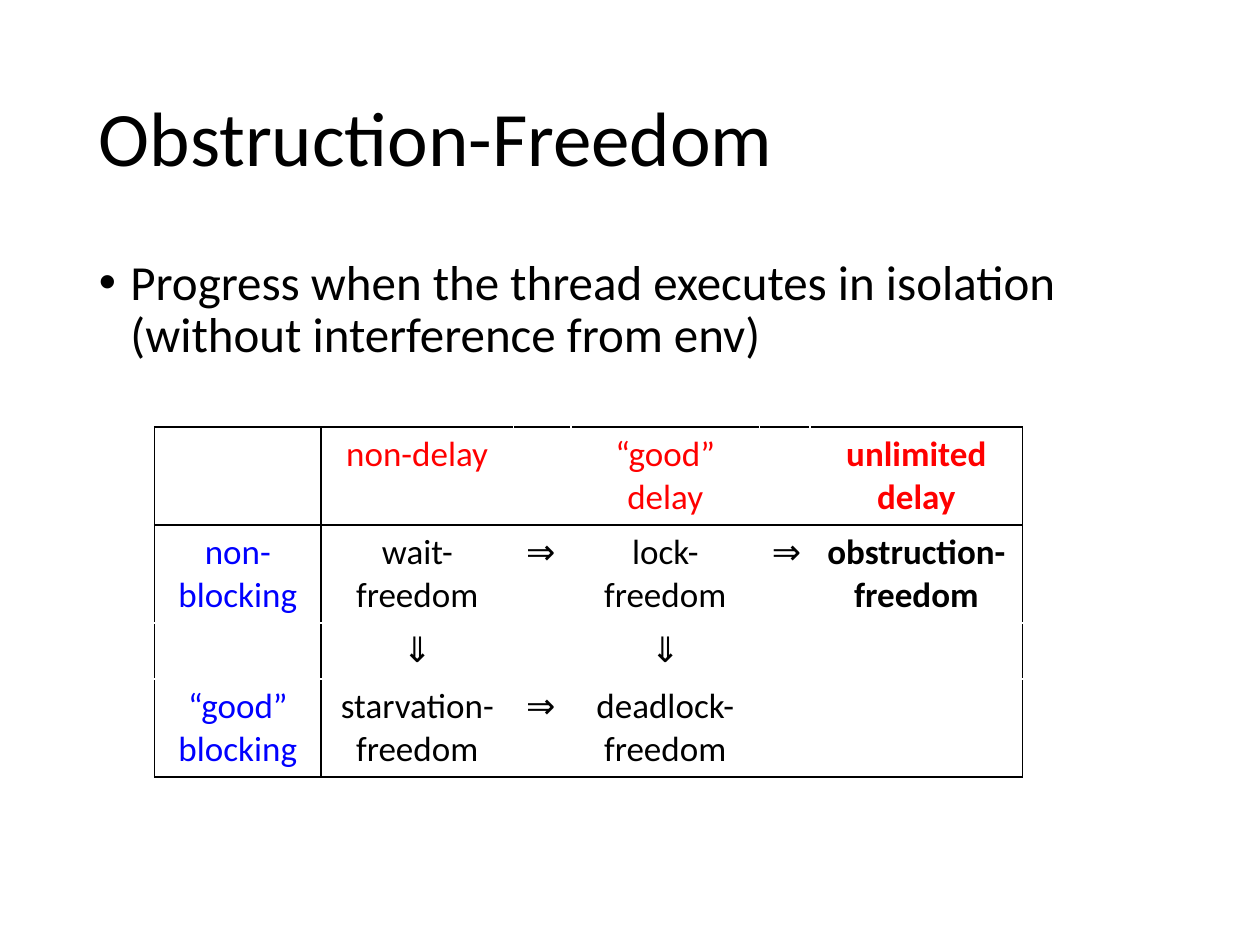
from pptx import Presentation
from pptx.dml.color import RGBColor as RGB
from pptx.enum.text import MSO_ANCHOR as ANCHOR, PP_ALIGN as ALIGN
from pptx.oxml.ns import qn
from pptx.util import Pt
from lxml.etree import SubElement

COLORS = {"text": "000000", "column": "FF0000", "row": "0000FF", "blank": "FFFFFF"}

COL_WIDTHS = [95, 110, 33, 107.5, 29, 121.5]
ROW_HEIGHTS = [56, 56, 32, 56]
RULED = {0, 1}
BOLD = {"unlimited delay", "obstruction-freedom"}
CELLS = [
    ["", "non-delay", "", "“good” delay", "", "unlimited delay"],
    ["non-blocking", "wait-freedom", "⇒", "lock-freedom", "⇒", "obstruction-freedom"],
    ["", "⇓", "", "⇓", "", ""],
    ["“good” blocking", "starvation-freedom", "⇒", "deadlock-freedom", "", ""],
]


class Deck:
    def __init__(self, prs, font):
        self.font = font
        self.s = prs.slides.add_slide(prs.slide_layouts[6])

    def run(self, p, text, size, color="text", bold=False):
        r = p.add_run()
        r.text = text
        r.font.name = self.font
        r.font.size = Pt(size)
        r.font.bold = bold
        r.font.color.rgb = RGB.from_string(COLORS[color])

    def text(self, x, y, w, h, text, size, anchor=ANCHOR.TOP):
        tf = self.s.shapes.add_textbox(Pt(x), Pt(y), Pt(w), Pt(h)).text_frame
        tf.word_wrap = True
        tf.vertical_anchor = anchor
        p = tf.paragraphs[0]
        p.line_spacing = 0.9
        self.run(p, text, size)
        return p

    def bullet(self, x, y, w, h, text, size):
        p = self.text(x, y, w, h, text, size)
        p.space_before = Pt(10)
        pPr = p._p.get_or_add_pPr()
        pPr.set("marL", str(Pt(18)))
        pPr.set("indent", str(-Pt(18)))
        SubElement(pPr, qn("a:buFont"), typeface="Arial")
        SubElement(pPr, qn("a:buChar"), char="•")

    def border(self, cell, side, color):
        ln = SubElement(cell._tc.get_or_add_tcPr(), qn(f"a:ln{side}"), w=str(Pt(1)))
        fill = SubElement(ln, qn("a:solidFill"))
        SubElement(fill, qn("a:srgbClr"), val=COLORS[color])

    def table(self, x, y, widths, heights, cells, size):
        rows, cols = len(heights), len(widths)
        frame = self.s.shapes.add_table(
            rows, cols, Pt(x), Pt(y), Pt(sum(widths)), Pt(sum(heights)))
        tbl = frame.table
        tbl.first_row = tbl.horz_banding = False
        for col, w in zip(tbl.columns, widths):
            col.width = Pt(w)
        for row, h in zip(tbl.rows, heights):
            row.height = Pt(h)
        for i, line in enumerate(cells):
            for j, text in enumerate(line):
                cell = tbl.cell(i, j)
                edges = [("L", j, cols), ("R", j + 1, cols),
                         ("T", i, rows), ("B", i + 1, rows)]
                for side, edge, last in edges:
                    ruled = edge in RULED or edge == last
                    self.border(cell, side, "text" if ruled else "blank")
                cell.fill.background()
                if text:
                    p = cell.text_frame.paragraphs[0]
                    p.alignment = ALIGN.LEFT if j == 2 else ALIGN.CENTER
                    color = "column" if i == 0 else "row" if j == 0 else "text"
                    self.run(p, text, size, color, text in BOLD)


def main():
    prs = Presentation()
    prs.slide_width, prs.slide_height = Pt(720), Pt(540)
    deck = Deck(prs, "Calibri")
    deck.text(49.5, 28.75, 621, 104.4, "Obstruction-Freedom", 44, ANCHOR.MIDDLE)
    deck.bullet(49.5, 143.75, 621, 342.6,
                "Progress when the thread executes in isolation "
                "(without interference from env)", 28)
    deck.table(88.4, 244, COL_WIDTHS, ROW_HEIGHTS, CELLS, 20)
    prs.save("out.pptx")


if __name__ == "__main__":
    main()
